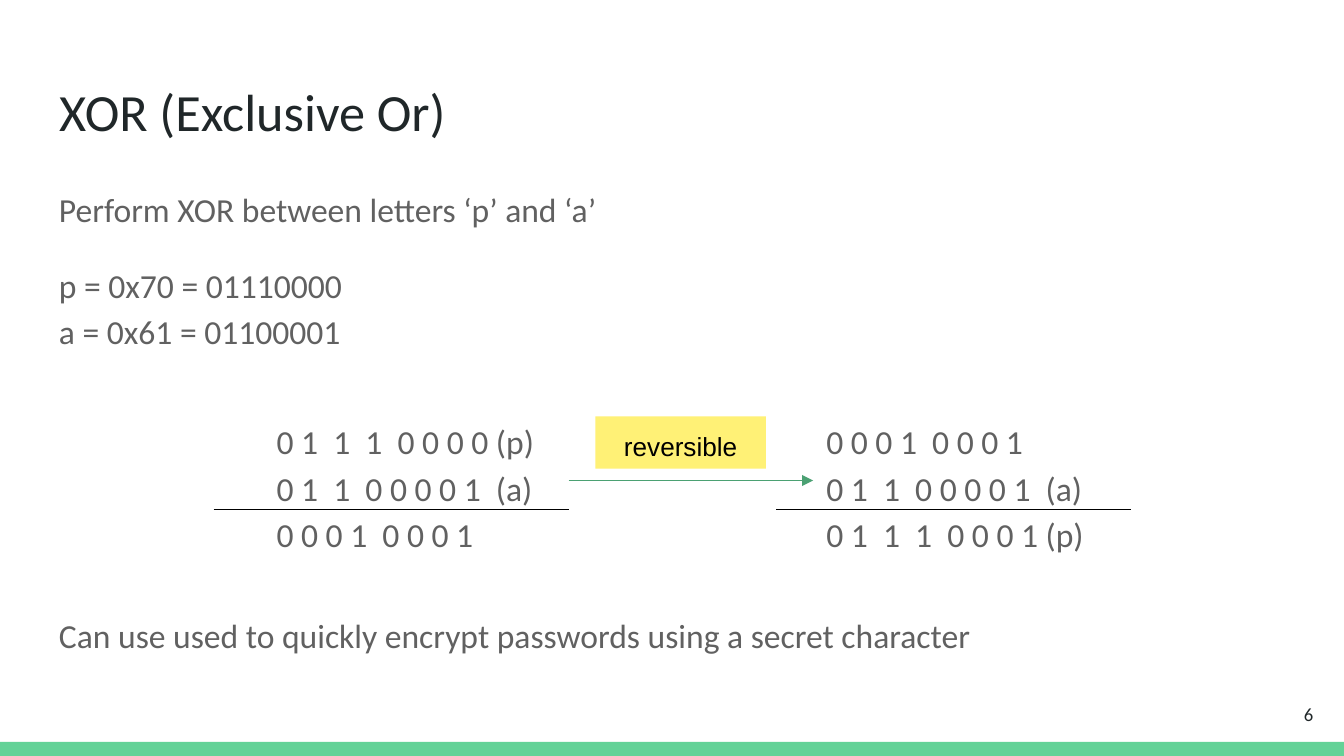
from dataclasses import dataclass

from lxml import etree
from pptx import Presentation
from pptx import util as u
from pptx.dml.color import RGBColor
from pptx.enum import shapes, text
from pptx.oxml.ns import qn

COLORS = {
    "bar": "63D297",
    "title": "202729",
    "body": "616161",
    "rule": "000000",
    "arrow": "4BA173",
    "note": "FFF176",
}
WIDTH, HEIGHT = u.Inches(10), u.Inches(5.625)


@dataclass(frozen=True)
class Box:
    """Position and size in percent of the slide."""
    left: float
    top: float
    width: float
    height: float

    def emu(self) -> tuple[int, int, int, int]:
        return px(self.left), py(self.top), px(self.width), py(self.height)


@dataclass(frozen=True)
class Style:
    size: float
    color: str
    font: str = "Calibri"
    align: text.PP_ALIGN = text.PP_ALIGN.LEFT
    spacing: float = 1.0


@dataclass(frozen=True)
class Sum:
    left: float
    rule_left: float
    rows: tuple[str, str, str]


TITLE = Style(28, "title")
BODY = Style(18, "body", spacing=1.15)
NOTE = Style(14, "rule", "Arial", text.PP_ALIGN.CENTER)
NUMBER = Style(10, "title", align=text.PP_ALIGN.RIGHT)

SUM_TOP, SUM_WIDTH, SUM_HEIGHT = 53.16, 22.7, 20.8
RULE_Y, RULE_WIDTH = 67.38, 26.4
SUMS = (
    Sum(19.6, 15.9, ("0 1  1  1  0 0 0 0 (p)", "0 1  1  0 0 0 0 1  (a)", "0 0 0 1  0 0 0 1")),
    Sum(60.5, 57.75, ("0 0 0 1  0 0 0 1", "0 1  1  0 0 0 0 1  (a)", "0 1  1  1  0 0 0 1 (p)")),
)
BODY_LINES = (
    ("Perform XOR between letters ‘p’ and ‘a’", 0),
    ("p = 0x70 = 01110000", 16),
    ("a = 0x61 = 01100001", 0),
    ("Can use used to quickly encrypt passwords using a secret character", 138),
)


def px(share: float) -> int:
    return round(WIDTH * share / 100)


def py(share: float) -> int:
    return round(HEIGHT * share / 100)


def rgb(name: str) -> RGBColor:
    return RGBColor.from_string(COLORS[name])


def write(sp, lines, style: Style, anchor=text.MSO_ANCHOR.TOP) -> None:
    tf = sp.text_frame
    tf.word_wrap = True
    tf.auto_size = text.MSO_AUTO_SIZE.NONE
    tf.vertical_anchor = anchor
    tf.margin_left = tf.margin_right = tf.margin_top = tf.margin_bottom = u.Inches(0.1)
    for i, (line, before) in enumerate(lines):
        p = tf.add_paragraph() if i else tf.paragraphs[0]
        p.alignment = style.align
        p.line_spacing = style.spacing
        p.space_before = u.Pt(before)
        r = p.add_run()
        r.text = line
        r.font.size = u.Pt(style.size)
        r.font.name = style.font
        r.font.color.rgb = rgb(style.color)


def add_text(s, box: Box, lines, style: Style, anchor=text.MSO_ANCHOR.TOP):
    sp = s.shapes.add_textbox(*box.emu())
    write(sp, lines, style, anchor)
    return sp


def add_rect(s, box: Box, color: str):
    sp = s.shapes.add_shape(shapes.MSO_SHAPE.RECTANGLE, *box.emu())
    sp.shadow.inherit = False
    sp.fill.solid()
    sp.fill.fore_color.rgb = rgb(color)
    sp.line.fill.background()
    return sp


def add_line(s, x1: float, x2: float, y: float, color: str):
    line = s.shapes.add_connector(shapes.MSO_CONNECTOR.STRAIGHT, px(x1), py(y), px(x2), py(y))
    line.line.color.rgb = rgb(color)
    line.line.width = u.Pt(0.75)
    etree.SubElement(line._element.spPr, qn("a:effectLst"))
    return line


def add_sum(s, item: Sum):
    add_line(s, item.rule_left, item.rule_left + RULE_WIDTH, RULE_Y, "rule")
    box = Box(item.left, SUM_TOP, SUM_WIDTH, SUM_HEIGHT)
    return add_text(s, box, [(row, 0) for row in item.rows], BODY)


def main() -> None:
    prs = Presentation()
    prs.slide_width, prs.slide_height = WIDTH, HEIGHT
    s = prs.slides.add_slide(prs.slide_layouts[5])

    add_rect(s, Box(0, 98.13, 100, 1.87), "bar")
    title = s.shapes.title
    title.left, title.top, title.width, title.height = Box(3.4, 8.7, 93.2, 11.2).emu()
    write(title, [("XOR (Exclusive Or)", 0)], TITLE)
    add_text(s, Box(3.4, 22.4, 93.2, 66.5), BODY_LINES, BODY)

    encoded, decoded = [add_sum(s, item) for item in SUMS]
    arrow = add_line(s, SUMS[0].left + SUM_WIDTH, SUMS[1].left, SUM_TOP + SUM_HEIGHT / 2, "arrow")
    arrow.begin_connect(encoded, 3)
    arrow.end_connect(decoded, 1)
    etree.SubElement(arrow.line._get_or_add_ln(), qn("a:tailEnd"), type="triangle")

    note = add_rect(s, Box(44.3, 55.1, 12.7, 6.9), "note")
    write(note, [("reversible", 0)], NOTE)
    add_text(s, Box(92.7, 90.67, 6, 7.64), [("6", 0)], NUMBER, text.MSO_ANCHOR.MIDDLE)

    prs.save("out.pptx")


if __name__ == "__main__":
    main()
